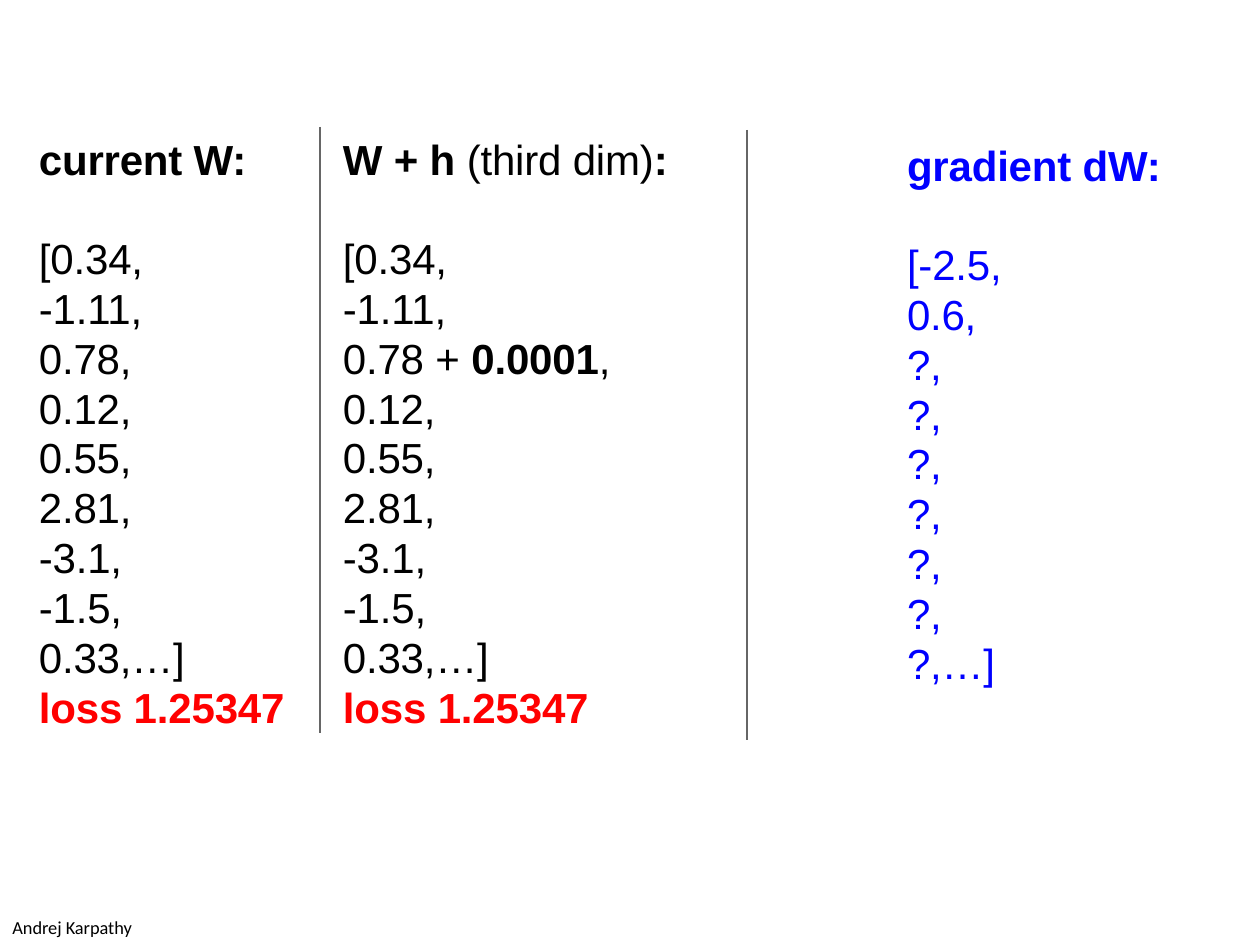
from lxml.etree import SubElement
from pptx import Presentation
from pptx.dml.color import RGBColor
from pptx.enum.shapes import MSO_CONNECTOR
from pptx.enum.text import MSO_AUTO_SIZE
from pptx.oxml.ns import qn
from pptx.util import Emu, Pt

SCALE = 914400 / 126
COLORS = {"ink": "000000", "loss": "FF0000", "gradient": "0000FF", "rule": "666666"}


def px(*lengths):
    return [Emu(round(length * SCALE)) for length in lengths]


def add_text(page, place, lines, spacing=None):
    box = page.shapes.add_textbox(*px(*place))
    frame = box.text_frame
    margins = ("margin_left", "margin_top", "margin_right", "margin_bottom")
    for name, value in {**dict.fromkeys(margins, 0), "word_wrap": True,
                        "auto_size": MSO_AUTO_SIZE.SHAPE_TO_FIT_TEXT}.items():
        setattr(frame, name, value)
    for index, spans in enumerate(lines):
        para = frame.add_paragraph() if index else frame.paragraphs[0]
        para.line_spacing = spacing
        para._p.get_or_add_pPr().set("marL", str(px(1)[0]))
        for text, bold, color in spans:
            span = para.add_run()
            span.text = text
            for name, value in {"name": "Arial", "size": Pt(24), "bold": bold}.items():
                setattr(span.font, name, value)
            span.font.color.rgb = RGBColor.from_string(COLORS[color])
            span._r.get_or_add_rPr().set("spc", "-10")
    return box


deck = Presentation()
deck.slide_width, deck.slide_height = px(1260, 945)
page = deck.slides.add_slide(deck.slide_layouts[6])

weights = ["[0.34,", "-1.11,", "0.78,", "0.12,", "0.55,", "2.81,", "-3.1,", "-1.5,", "0.33,…]"]
slopes = ["[-2.5,", "0.6,"] + ["?,"] * 6 + ["?,…]"]
loss = [("loss 1.25347", True, "loss")]
current = [[(value, False, "ink")] for value in weights] + [loss]
shifted = current.copy()
shifted[2] = [("0.78 + ", False, "ink"), ("0.0001", True, "ink"), (",", False, "ink")]
gradient = [[(value, False, "gradient")] for value in slopes]

columns = [
    (38, 134, 251, [("current W:", True, "ink")], current),
    (342, 134, 333, [("W + h ", True, "ink"), ("(third dim)", False, "ink"),
                     (":", True, "ink")], shifted),
    (906, 140, 260, [("gradient dW:", True, "gradient")], gradient),
]
for left, top, width, heading, values in columns:
    add_text(page, (left, top, width, 52), [heading])
    add_text(page, (left, top + 99, width, 50 * len(values)), values, Pt(28.5))

for x, top, bottom in [(320, 127, 733), (747, 130, 740)]:
    divider = page.shapes.add_connector(MSO_CONNECTOR.STRAIGHT, *px(x, top, x, bottom))
    divider.line.color.rgb = RGBColor.from_string(COLORS["rule"])
    divider.line.width = Pt(0.75)
    SubElement(divider._element.spPr, qn("a:effectLst"))

credit = page.shapes.add_textbox(*px(0, 910, 147, 35))
credit.text_frame.word_wrap = False
credit.text_frame.auto_size = MSO_AUTO_SIZE.SHAPE_TO_FIT_TEXT
span = credit.text_frame.paragraphs[0].add_run()
span.text = "Andrej Karpathy"
span.font.name = "Calibri"
span.font.size = Pt(10.5)
span.font.color.rgb = RGBColor.from_string(COLORS["ink"])

deck.save("out.pptx")
